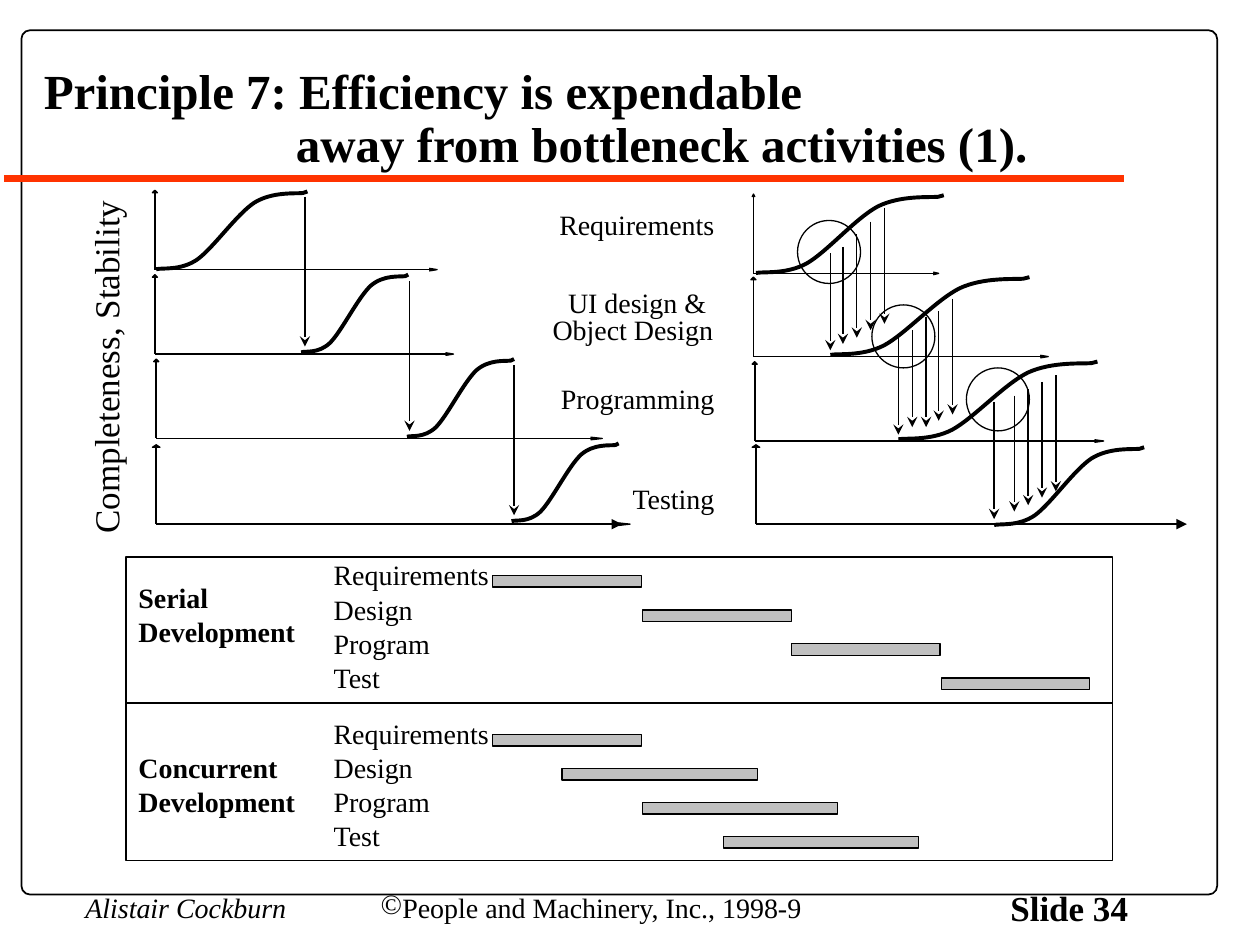
from pptx import Presentation
from pptx.dml.color import RGBColor
from pptx.enum.shapes import MSO_CONNECTOR, MSO_SHAPE
from pptx.enum.text import MSO_ANCHOR, PP_ALIGN
from pptx.oxml.ns import qn
from pptx.util import Inches, Pt
from lxml import etree

LEFT, RIGHT = PP_ALIGN.LEFT, PP_ALIGN.RIGHT
TOP, BOTTOM = MSO_ANCHOR.TOP, MSO_ANCHOR.BOTTOM
RECT, ROUND, OVAL = MSO_SHAPE.RECTANGLE, MSO_SHAPE.ROUNDED_RECTANGLE, MSO_SHAPE.OVAL
STRAIGHT = MSO_CONNECTOR.STRAIGHT

FONT = "Times New Roman"
COLORS = {"ink": "000000", "rule": "FF3300", "bar": "C0C0C0", "paper": "FFFFFF"}

TITLE = "Principle 7: Efficiency is expendable \v\t\taway from bottleneck activities (1)."
PHASES = ["Requirements", "Design", "Program", "Test"]
PHASE_WIDTHS = [1.44, 0.83, 0.97, 0.59]
PHASE_STEP = 0.27

# Gantt panels: panel top and height, heading and its top, first phase top, bars (left, width)
PANELS = [
    (5.58, 1.25, "Concurrent\nDevelopment", 5.91, 5.64,
     [(3.91, 1.18), (4.46, 1.55), (5.1, 1.55), (5.74, 1.55)]),
    (4.42, 1.16, "Serial\nDevelopment", 4.56, 4.38,
     [(3.91, 1.18), (5.1, 1.18), (6.28, 1.18), (7.47, 1.18)]),
]

# Right-aligned names of the curves: text, left, top, width, height, fill
CURVE_NAMES = [
    ("Requirements", 4.43, 1.7, 1.24, 0.21, None),
    ("Testing", 5, 3.87, 0.67, 0.21, None),
    ("UI design & \nObject Design", 4.08, 2.32, 1.58, 0.43, "paper"),
    ("Programming", 4.44, 3.08, 1.23, 0.21, "paper"),
]

# Axes: x, top, right end, half width of upper tip, length of right tip (0: plain triangle end)
SERIAL_AXES = [
    (1.23, 1.51, 3.47, 0.02, 0.06), (1.23, 2.18, 3.6, 0.02, 0.06),
    (1.24, 2.85, 4.78, 0.02, 0.09), (1.24, 3.53, 5, 0.03, 0.09),
]
CONCURRENT_AXES = [
    (5.98, 1.54, 7.45, 0.01, 0.04), (5.98, 2.2, 8.32, 0.02, 0.06),
    (5.99, 2.87, 8.76, 0.02, 0.07), (6, 3.53, 9.42, 0.03, 0),
]
AXIS_HEIGHT = 0.63

# Growth curves: left, top, width
CURVES = [
    (1.24, 1.52, 1.2), (2.39, 2.18, 0.85), (3.23, 2.85, 0.85), (4.06, 3.52, 0.85),
    (6, 1.55, 1.49), (6.59, 2.2, 1.58), (7.13, 2.87, 1.58), (7.89, 3.55, 1.19),
]
# Start, three Bezier triples and a last straight end, as fractions of the curve's box
S_CURVE = [
    (0, 0.98), (0.04, 0.96), (0.16, 1), (0.27, 0.86), (0.38, 0.71), (0.53, 0.29),
    (0.65, 0.14), (0.77, 0), (0.92, 0.03), (0.97, 0.02), (1, 0),
]

# Handovers between phases: x, from y, to y
HANDOVERS = [
    (2.42, 1.56, 2.75), (3.25, 2.23, 3.42), (4.08, 2.9, 4.09),
    (6.59, 2.01, 2.78), (6.69, 1.96, 2.73), (6.8, 1.86, 2.68), (6.91, 1.76, 2.62),
    (7.02, 1.65, 2.57),
    (7.13, 2.68, 3.45), (7.24, 2.62, 3.39), (7.35, 2.52, 3.39), (7.45, 2.47, 3.34),
    (7.56, 2.37, 3.29),
    (7.89, 3.19, 4.12), (8.05, 3.14, 4.06), (8.16, 3.09, 4.01), (8.27, 3.03, 3.95),
    (8.38, 2.98, 3.9),
]
OVERLAPS = [(6.33, 1.75), (6.92, 2.42), (7.67, 2.92)]

prs = Presentation()
prs.slide_width, prs.slide_height = Inches(10), Inches(7.5)
slide = prs.slides.add_slide(prs.slide_layouts[6])
shapes = slide.shapes


def rgb(name):
    return RGBColor.from_string(COLORS[name])


def add_text(text, x, y, w, h, size=16, bold=False, italic=False, align=LEFT, spacing=None,
             inset=True, anchor=TOP, wrap=False, fill=None, rotation=0, bullet=None, tabs=()):
    sp = shapes.add_textbox(Inches(x), Inches(y), Inches(w), Inches(h))
    sp.rotation = rotation
    if fill:
        sp.fill.solid()
        sp.fill.fore_color.rgb = rgb(fill)
    tf = sp.text_frame
    tf.word_wrap, tf.vertical_anchor = wrap, anchor
    tf.margin_left = tf.margin_right = Inches(0.1 if inset else 0)
    tf.margin_top = tf.margin_bottom = Inches(0.05 if inset else 0)
    tf.text = text
    for p in tf.paragraphs:
        p.alignment = align
        if spacing:
            p.line_spacing = spacing
        if bullet:
            etree.SubElement(p._p.get_or_add_pPr(), qn("a:buChar"), char=bullet)
        if tabs:
            stops = etree.SubElement(p._p.get_or_add_pPr(), qn("a:tabLst"))
            for tab in tabs:
                etree.SubElement(stops, qn("a:tab"), pos=str(Inches(tab)), algn="l")
        for r in p.runs:
            r.font.name, r.font.size = FONT, Pt(size)
            r.font.bold, r.font.italic = bold, italic
            r.font.color.rgb = rgb("ink")


def style(sp, fill=None, width=0.75):
    sp.shadow.inherit = False
    if fill:
        sp.fill.solid()
        sp.fill.fore_color.rgb = rgb(fill)
    else:
        sp.fill.background()
    sp.line.color.rgb = rgb("ink")
    sp.line.width = Pt(width)


def add_box(kind, x, y, w, h, **fmt):
    sp = shapes.add_shape(kind, Inches(x), Inches(y), Inches(w), Inches(h))
    style(sp, **fmt)
    return sp


def add_line(x1, y1, x2, y2, width=0.75, color="ink", arrow=None):
    ln = shapes.add_connector(STRAIGHT, Inches(x1), Inches(y1), Inches(x2), Inches(y2))
    ln.line.color.rgb = rgb(color)
    ln.line.width = Pt(width)
    if arrow:
        etree.SubElement(ln.line._get_or_add_ln(), qn("a:tailEnd"), type=arrow)
    etree.SubElement(ln._element.spPr, qn("a:effectLst"))


def add_outline(points, close, **fmt):
    points = [(Inches(x), Inches(y)) for x, y in points]
    builder = shapes.build_freeform(*points[0])
    builder.add_line_segments(points[1:], close=close)
    sp = builder.convert_to_shape()
    style(sp, **fmt)
    return sp


def add_curve(x, y, w):
    """Draw the S-curve, joining each triple of segments into one Bezier."""
    sp = add_outline([(x + w * u, y + AXIS_HEIGHT * v) for u, v in S_CURVE], False, width=2.25)
    path = next(sp._element.iter(qn("a:path")))
    segments = path.findall(qn("a:lnTo"))
    for i in range(0, 9, 3):
        segments[i].tag = qn("a:cubicBezTo")
        for extra in segments[i + 1:i + 3]:
            segments[i].append(extra[0])
            path.remove(extra)


def add_axes(x, top, end, half, tip):
    base = top + AXIS_HEIGHT
    add_line(x, top + 0.02, x, base, width=1)
    add_outline([(x + half, top + 0.02), (x, top + 0.02), (x - half, top + 0.02), (x, top)],
                True, fill="ink")
    last = base > 4
    add_line(x, base, end - tip * 0.7, base, width=1, arrow="triangle" if last else None)
    if tip:
        back = end - tip
        add_outline([(back, base + 0.01), (back + 0.01, base), (back, base - 0.01), (end, base)],
                    True, fill="ink")


frame = add_box(ROUND, 0.17, 0.24, 9.49, 6.86, width=1)
frame.adjustments[0] = 0.01
add_line(0.03, 1.42, 8.92, 1.42, width=4, color="rule")
add_text("Alistair Cockburn", 0.58, 7.02, 1.8, 0.36, italic=True)
add_text("People and Machinery, Inc., 1998-9", 2.92, 7.02, 3.8, 0.36, bullet="©")
add_text("Slide 34", 7.92, 6.99, 1.18, 0.43, size=20, bold=True)
add_text(TITLE, 0.25, 0.25, 9.5, 1.17, size=28, bold=True, spacing=0.9, anchor=BOTTOM, wrap=True,
         tabs=(1, 2))

for top, height, heading, heading_top, phase_top, bars in PANELS:
    add_text(heading, 1, heading_top, 1.45, 0.64, bold=True)
    for i, (phase, width, (bar_x, bar_w)) in enumerate(zip(PHASES, PHASE_WIDTHS, bars)):
        y = phase_top + i * PHASE_STEP
        add_text(phase, 2.55, y, width, 0.37)
        add_box(RECT, bar_x, y + 0.19, bar_w, 0.09, fill="bar")
    add_box(RECT, 1, top, 7.83, height)

add_text("Completeness, Stability", -0.8, 2.43, 3.34, 0.27, size=20, spacing=0.8, inset=False,
         rotation=270)
for text, x, y, w, h, fill in CURVE_NAMES:
    add_text(text, x, y, w, h, align=RIGHT, spacing=0.8, inset=False, fill=fill)

for axes in SERIAL_AXES + CONCURRENT_AXES:
    add_axes(*axes)
for curve in CURVES:
    add_curve(*curve)
for x, y1, y2 in HANDOVERS:
    add_line(x, y1, x, y2, arrow="stealth")
for x, y in OVERLAPS:
    add_box(OVAL, x, y, 0.5, 0.5)

prs.save("out.pptx")
